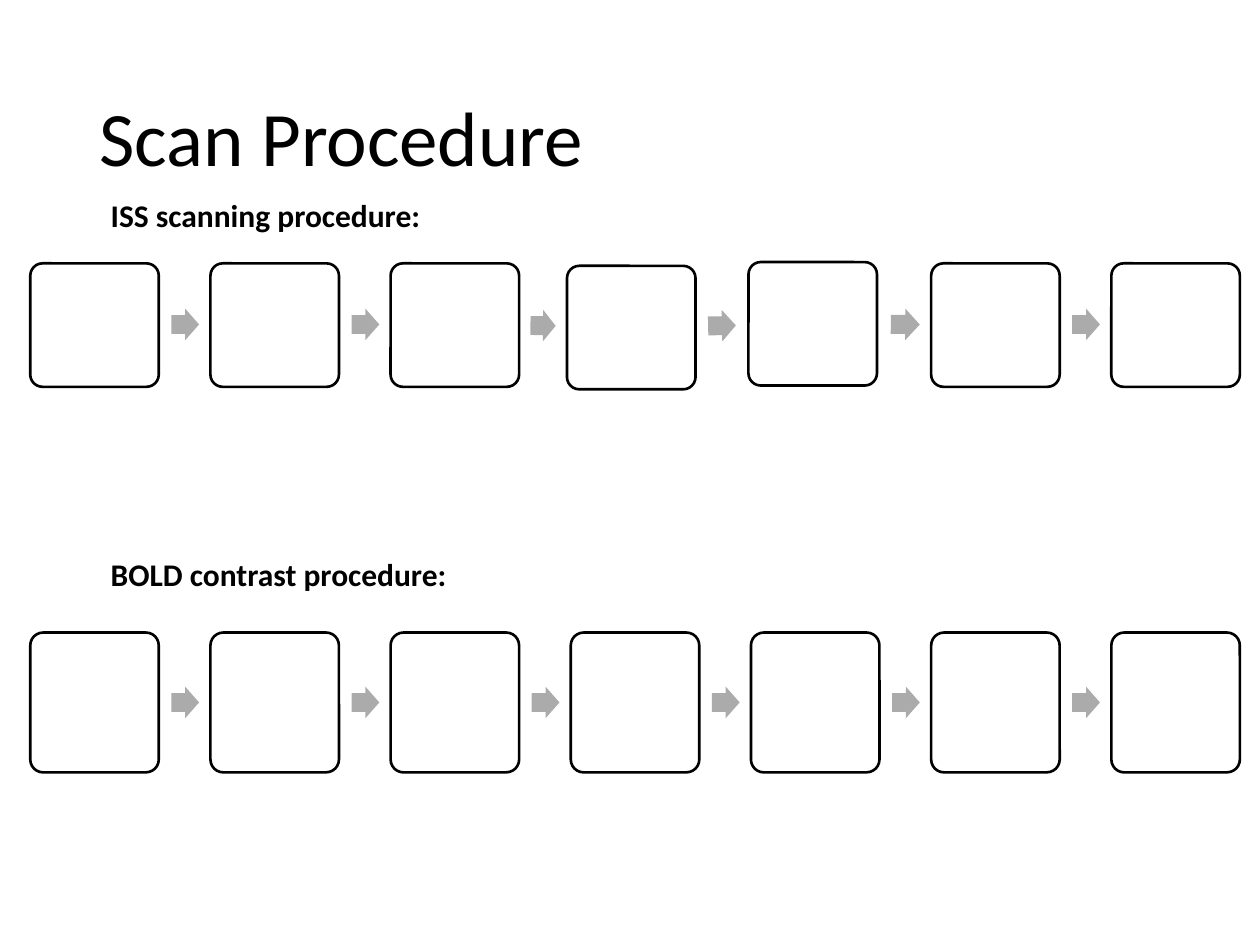
"""Build the Scan Procedure slide with two seven-step process rows."""
from pptx import Presentation
from pptx.dml.color import RGBColor
from pptx.enum.shapes import MSO_SHAPE
from pptx.enum.text import MSO_ANCHOR, MSO_AUTO_SIZE
from pptx.util import Inches, Pt


def colour(code):
    return RGBColor.from_string(code)


class ProcessSlide:
    font = "Calibri"
    ink = "000000"
    paper = "FFFFFF"
    arrow_fill = "ABABAB"
    steps = 7
    left = 0.24
    pitch = 1.43
    box_width = 1.02
    arrow_offset = 1.12
    arrow_width = 0.22
    arrow_height = 0.25

    def __init__(self, deck):
        self.page = deck.slides.add_slide(deck.slide_layouts[6])

    def text(self, words, left, top, width, height, size, bold=False):
        box = self.page.shapes.add_textbox(
            Inches(left), Inches(top), Inches(width), Inches(height))
        para = box.text_frame.paragraphs[0]
        para.text = words
        para.font.name = self.font
        para.font.size = Pt(size)
        para.font.bold = bold
        para.font.color.rgb = colour(self.ink)
        return box.text_frame

    def title(self, words):
        frame = self.text(words, 0.69, 0.4, 8.62, 1.45, 44)
        frame.word_wrap = True
        frame.vertical_anchor = MSO_ANCHOR.MIDDLE
        frame.paragraphs[0].line_spacing = 0.9

    def heading(self, words, top, width):
        frame = self.text(words, 0.78, top, width, 0.4, 18, bold=True)
        frame.word_wrap = False
        frame.auto_size = MSO_AUTO_SIZE.SHAPE_TO_FIT_TEXT

    def shape(self, group, kind, left, top, width, height, fill):
        shape = group.shapes.add_shape(
            kind, Inches(left), Inches(top), Inches(width), Inches(height))
        shape.shadow.inherit = False
        shape.fill.solid()
        shape.fill.fore_color.rgb = colour(fill)
        return shape

    def step(self, group, left, top, height):
        box = self.shape(group, MSO_SHAPE.ROUNDED_RECTANGLE, left, top,
                         self.box_width, height, self.paper)
        box.adjustments[0] = 0.1
        box.line.color.rgb = colour(self.ink)
        box.line.width = Pt(1.5)

    def arrow(self, group, left, top, width, rotation):
        arrow = self.shape(group, MSO_SHAPE.RIGHT_ARROW, left, top,
                           width, self.arrow_height, self.arrow_fill)
        arrow.adjustments[0] = 0.6
        arrow.adjustments[1] = 0.5
        arrow.line.fill.background()
        arrow.rotation = rotation

    def row(self, top, height, arrow_top, box_shifts={}, arrow_shifts={}):
        group = self.page.shapes.add_group_shape()
        for index in range(self.steps):
            left = self.left + index * self.pitch
            across, down = box_shifts.get(index, (0, 0))
            self.step(group, left + across, top + down, height)
            if index < self.steps - 1:
                across, down, wider, rotation = arrow_shifts.get(index, (0, 0, 0, 0))
                self.arrow(group, left + self.arrow_offset + across,
                           arrow_top + down, self.arrow_width + wider, rotation)


def main():
    deck = Presentation()
    deck.slide_width = Inches(10)
    deck.slide_height = Inches(7.5)
    slide = ProcessSlide(deck)
    slide.title("Scan Procedure")
    slide.heading("ISS scanning procedure:", 1.51, 2.69)
    slide.heading("BOLD contrast procedure:", 4.36, 2.91)
    slide.row(2.09, 0.98, 2.45,
              box_shifts={3: (-0.03, 0.02), 4: (-0.02, -0.01)},
              arrow_shifts={2: (-0.01, 0.01, -0.02, 0.8),
                            3: (-0.03, 0.01, 0, 358.9),
                            4: (-0.01, 0, 0.01, 0.4)})
    slide.row(5.02, 1.11, 5.45)
    deck.save("out.pptx")


if __name__ == "__main__":
    main()
